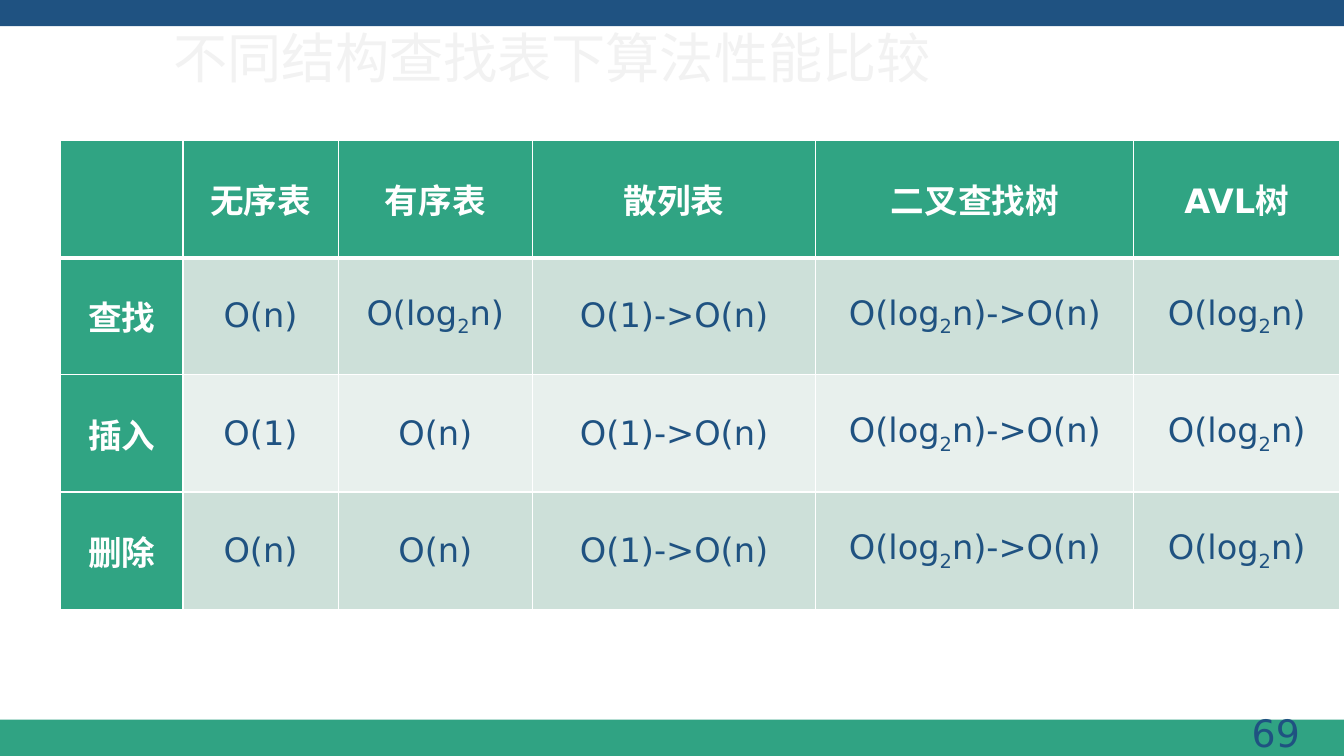
import dataclasses

import pptx
import pptx.dml.color
import pptx.enum.shapes
import pptx.enum.text
import pptx.oxml
import pptx.oxml.ns
import pptx.util

SLIDE_WIDTH = pptx.util.Inches(13.33)
SLIDE_HEIGHT = pptx.util.Inches(7.5)
LEFT = pptx.enum.text.PP_ALIGN.LEFT
CENTER = pptx.enum.text.PP_ALIGN.CENTER
RIGHT = pptx.enum.text.PP_ALIGN.RIGHT
MIDDLE = pptx.enum.text.MSO_ANCHOR.MIDDLE


@dataclasses.dataclass(frozen=True)
class Theme:
    navy: str = "1F5281"
    footer_green: str = "30A383"
    head_green: str = "30A483"
    bands: tuple = ("CDE0D9", "E8F0ED")
    white: str = "FFFFFF"
    pale: str = "F2F2F2"
    title_font: str = "Calibri"
    body_font: str = "DejaVu Sans"
    title_size: float = 38.7
    number_size: float = 27
    table_size: float = 24
    rule: float = 1
    head_rule: float = 3


THEME = Theme()

# Table content; "₂" marks the lowered base of a logarithm
LOG = "O(log₂n)"
HASHED = "O(1)->O(n)"
TREE = "O(log₂n)->O(n)"
COMPARISON = [
    ["", "无序表", "有序表", "散列表", "二叉查找树", "AVL树"],
    ["查找", "O(n)", LOG, HASHED, TREE, LOG],
    ["插入", "O(1)", "O(n)", HASHED, TREE, LOG],
    ["删除", "O(n)", "O(n)", HASHED, TREE, LOG],
]

# Column widths and row height, in percent of the slide
COLUMN_SHARES = [9.08, 11.55, 14.46, 21.08, 23.67, 15.3]
ROW_SHARE = 15.5


def across(percent):
    return round(SLIDE_WIDTH * percent / 100)


def down(percent):
    return round(SLIDE_HEIGHT * percent / 100)


def area(left, top, width, height):
    return across(left), down(top), across(width), down(height)


def rgb(colour):
    return pptx.dml.color.RGBColor.from_string(colour)


def add_run(paragraph, text, font, size, colour, bold=False):
    run = paragraph.add_run()
    run.text = text
    run.font.name = font
    run.font.size = pptx.util.Pt(size)
    run.font.color.rgb = rgb(colour)
    run.font.bold = bold
    return run


def add_bar(slide, top, height, colour):
    bar = slide.shapes.add_shape(
        pptx.enum.shapes.MSO_SHAPE.RECTANGLE, *area(0, top, 100, height))
    bar.shadow.inherit = False
    bar.fill.solid()
    bar.fill.fore_color.rgb = rgb(colour)
    bar.line.fill.background()


def add_label(slide, place, text, font, size, colour, align):
    frame = slide.shapes.add_textbox(*area(*place)).text_frame
    frame.word_wrap = True
    frame.vertical_anchor = MIDDLE
    frame.paragraphs[0].alignment = align
    add_run(frame.paragraphs[0], text, font, size, colour)


def rule_cell(cell, top, bottom):
    """Draw the white rules round a cell; they must precede its fill."""
    widths = {"lnL": THEME.rule, "lnR": THEME.rule, "lnT": top, "lnB": bottom}
    properties = cell._tc.get_or_add_tcPr()
    for position, (edge, width) in enumerate(widths.items()):
        properties.insert(position, pptx.oxml.parse_xml(
            f'<a:{edge} {pptx.oxml.ns.nsdecls("a")} w="{pptx.util.Pt(width)}">'
            f'<a:solidFill><a:srgbClr val="{THEME.white}"/></a:solidFill>'
            f'</a:{edge}>'))


def write_cell(cell, text, colour, bold):
    cell.vertical_anchor = MIDDLE
    cell.margin_left = cell.margin_right = pptx.util.Inches(0.08)
    cell.margin_top = cell.margin_bottom = 0
    paragraph = cell.text_frame.paragraphs[0]
    paragraph.alignment = CENTER
    start, base, rest = text.partition("₂")
    for part in filter(None, (start, base, rest)):
        lowered = part == "₂"
        run = add_run(paragraph, "2" if lowered else part, THEME.body_font,
                      THEME.table_size, colour, bold)
        if lowered:
            run._r.get_or_add_rPr().set("baseline", "-25000")


def add_comparison(slide, left, top):
    place = area(left, top, sum(COLUMN_SHARES), ROW_SHARE * len(COMPARISON))
    table = slide.shapes.add_table(
        len(COMPARISON), len(COLUMN_SHARES), *place).table
    table.first_row = table.horz_banding = False
    for column, share in zip(table.columns, COLUMN_SHARES):
        column.width = across(share)
    for r, entries in enumerate(COMPARISON):
        table.rows[r].height = down(ROW_SHARE)
        for c, text in enumerate(entries):
            cell = table.cell(r, c)
            heading = r == 0 or c == 0
            band = THEME.bands[(r - 1) % 2]
            cell.fill.solid()
            cell.fill.fore_color.rgb = rgb(
                THEME.head_green if heading else band)
            rule_cell(cell,
                      THEME.head_rule if r == 1 else THEME.rule,
                      THEME.head_rule if r == 0 else THEME.rule)
            write_cell(cell, text,
                       THEME.white if heading else THEME.navy, heading)


def main():
    deck = pptx.Presentation()
    deck.slide_width, deck.slide_height = SLIDE_WIDTH, SLIDE_HEIGHT
    slide = deck.slides.add_slide(deck.slide_layouts[6])

    # Footer and header bars
    add_bar(slide, 95.2, 4.8, THEME.footer_green)
    add_bar(slide, 0, 3.47, THEME.navy)

    # Page number and title
    add_label(slide, (75.4, 93.2, 22.05, 7.47), "69", THEME.body_font,
              THEME.number_size, THEME.navy, RIGHT)
    add_label(slide, (12.15, 2.8, 83.95, 9.47), "不同结构查找表下算法性能比较",
              THEME.title_font, THEME.title_size, THEME.pale, LEFT)

    # Cost of each operation by structure
    add_comparison(slide, 4.53, 18.6)

    deck.save("out.pptx")


if __name__ == "__main__":
    main()
